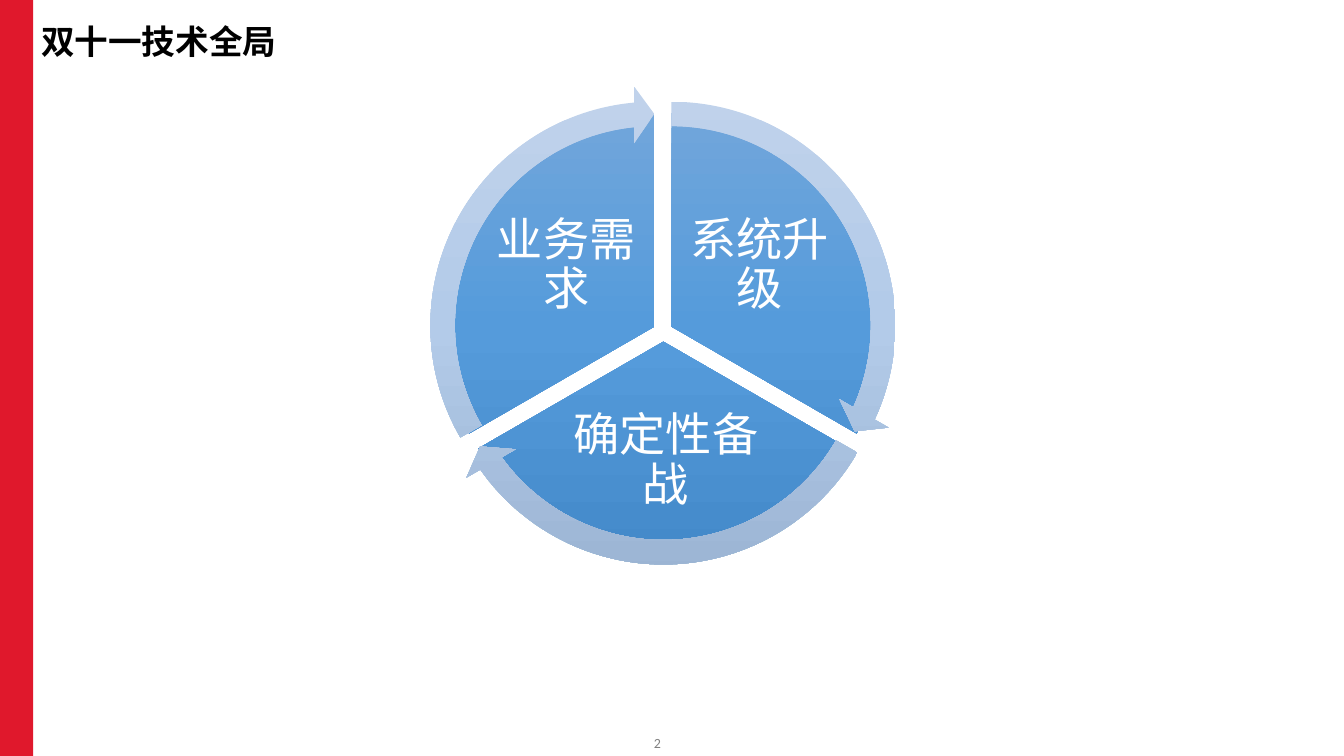
from copy import deepcopy

from lxml import etree
from pptx import Presentation
from pptx.dml.color import RGBColor
from pptx.enum.shapes import MSO_SHAPE
from pptx.enum.text import MSO_ANCHOR, PP_ALIGN
from pptx.oxml.ns import qn
from pptx.util import Inches, Pt

RECT, PIE, ARROW = MSO_SHAPE.RECTANGLE, MSO_SHAPE.PIE, MSO_SHAPE.CIRCULAR_ARROW
MIDDLE, CENTER, LEFT = MSO_ANCHOR.MIDDLE, PP_ALIGN.CENTER, PP_ALIGN.LEFT

RED = RGBColor(0xE0, 0x18, 0x2C)
BLACK = RGBColor(0, 0, 0)
GRAY = RGBColor(0x80, 0x80, 0x80)
WHITE = RGBColor(0xFF, 0xFF, 0xFF)
BLUES = [RGBColor(0x71, 0xA6, 0xDB), RGBColor(0x55, 0x9B, 0xDB),
         RGBColor(0x44, 0x8A, 0xCA)]
PALES = [RGBColor(0xC0, 0xD2, 0xEB), RGBColor(0xB3, 0xCB, 0xE9),
         RGBColor(0x9B, 0xB4, 0xD3)]
SANS, BODY = "Noto Sans CJK SC", "Calibri"

# Content
TITLE = "双十一技术全局"
PAGE = "2"
# label, label box, pie corner, pie angles, arrow end and start angles
PARTS = [
    ("系统升级", (6.78, 2.01, 1.51, 1.26), (4.54, 1.12), (270, 30), (24.54, 269.99)),
    ("确定性备战", (5.47, 4.02, 2.27, 1.11), (4.46, 1.27), (30, 150), (144.53, 30.01)),
    ("业务需求", (4.86, 2.01, 1.51, 1.26), (4.37, 1.12), (150, 270), (264.55, 150)),
]
PIE_SIZE, RING_SIZE = 4.24, 4.76
RING_DX, RING_DY = 0.26, 0.27
UNIT = 0.6  # adjustment value per degree
BAND, HEAD, HEAD_ANGLE = 0.051, 0.059, 5.46

deck = Presentation()
deck.slide_width, deck.slide_height = Inches(13.33), Inches(7.5)
slide = deck.slides.add_slide(deck.slide_layouts[6])


def add_form(kind, box, adjs=()):
    form = slide.shapes.add_shape(kind, *map(Inches, box))
    form.shadow.inherit = False
    form.line.fill.background()
    for i, val in enumerate(adjs):
        form.adjustments[i] = val
    return form


def shade(form, colors):
    """Fill from top to bottom with evenly spaced colours."""
    form.fill.gradient()
    form.fill.gradient_angle = 270
    stops = form._element.spPr.find(qn("a:gradFill")).find(qn("a:gsLst"))
    stops.append(deepcopy(stops[-1]))
    for i, (stop, color) in enumerate(zip(form.fill.gradient_stops, colors)):
        stop.position = i / (len(colors) - 1)
        stop.color.rgb = color


def add_text(text, box, size, color, font, inset, align=CENTER, wrap=True):
    frame = slide.shapes.add_textbox(*map(Inches, box)).text_frame
    frame.word_wrap = wrap
    frame.vertical_anchor = MIDDLE
    frame.margin_left = frame.margin_right = Inches(inset[0])
    frame.margin_top = frame.margin_bottom = Inches(inset[1])
    para = frame.paragraphs[0]
    para.text = text
    para.alignment = align
    para.font.size, para.font.name = Pt(size), font
    para.font.color.rgb = color
    return para


# Side bar, page number and title
bar = add_form(RECT, (0, 0, 0.33, 7.5))
bar.fill.solid()
bar.fill.fore_color.rgb = RED
add_text(PAGE, (6.44, 7.29, 0.16, 0.17), 10, GRAY, BODY, (0, 0), wrap=False)
head = add_text(TITLE, (0.31, 0.15, 9.45, 0.52), 24, BLACK, SANS, (0.1, 0.05), LEFT)
head.font.bold = True
run = head.runs[0]._r.get_or_add_rPr()
etree.SubElement(run, qn("a:ea")).set("typeface", SANS)

# Pie sectors with labels
for label, box, (x, y), angles, _ in PARTS:
    pie = add_form(PIE, (x, y, PIE_SIZE, PIE_SIZE), [a * UNIT for a in angles])
    shade(pie, BLUES)
    para = add_text(label, box, 33, WHITE, BODY, (0.05, 0.05))
    para.line_spacing = 0.9
    para.space_after = Pt(11.5)

# Arrows around the sectors
for _, _, (x, y), _, (end, start) in PARTS:
    ring = add_form(ARROW, (x - RING_DX, y - RING_DY, RING_SIZE, RING_SIZE),
                    [BAND, HEAD_ANGLE * UNIT, end * UNIT, start * UNIT, HEAD])
    shade(ring, PALES)

deck.save("out.pptx")
